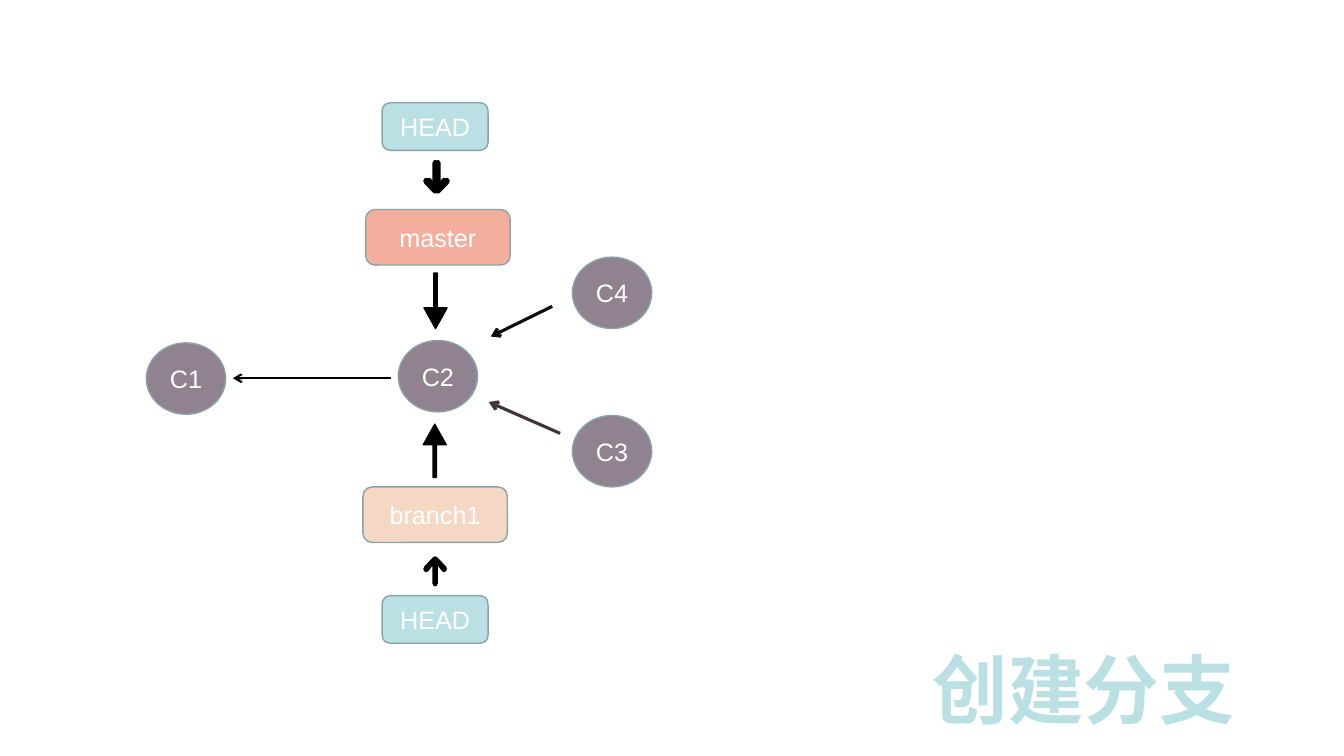
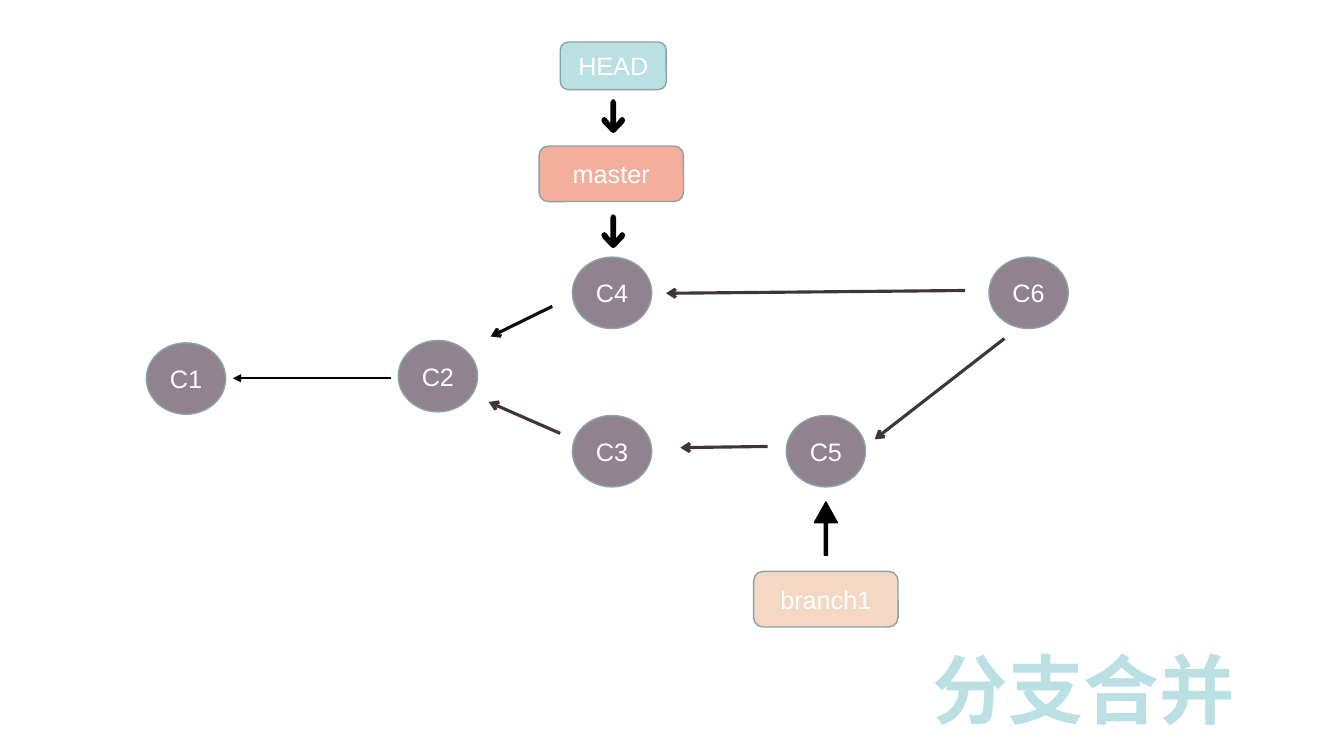
from dataclasses import dataclass

from lxml.etree import SubElement
from pptx import Presentation
from pptx.dml.color import RGBColor
from pptx.enum.shapes import MSO_CONNECTOR, MSO_SHAPE
from pptx.enum.text import MSO_ANCHOR, MSO_AUTO_SIZE, PP_ALIGN
from pptx.oxml.ns import qn
from pptx.util import Cm, Pt


@dataclass(frozen=True)
class Theme:
    font: str = "Arial"
    title_size: int = 54
    label_size: int = 18
    title: str = "BBE0E3"
    label: str = "FFFFFF"
    outline: str = "89A4A7"
    commit: str = "90828F"
    head: str = "BBE0E3"
    master: str = "F3AE9E"
    branch: str = "F5D8C3"
    black: str = "000000"
    ink: str = "0D0D0D"
    brown: str = "413438"


THEME = Theme()
TITLE_LAYOUT = 5

# Sizes and positions are in centimetres.
COMMIT_SIZE = (2, 1.8)
HEAD_SIZE = (2.67, 1.2)
BRANCH_SIZE = (3.64, 1.4)
COMMITS = {
    "C1": (4.69, 9.54),
    "C2": (11.04, 9.48),
    "C3": (15.43, 11.37),
    "C4": (15.43, 7.38),
    "C5": (20.82, 11.37),
    "C6": (25.93, 7.38),
}

# Right half of each pointer: (offset from axis, distance from tip),
# then its tail end: (offset from axis, distance from the end).
SHARP = ([(0, 0), (0.29, 0.52), (0.04, 0.52)], [(0.04, 0)])
ROUNDED = (
    [(0, 0), (0.05, 0.02), (0.27, 0.25), (0.3, 0.32), (0.27, 0.38),
     (0.22, 0.4), (0.17, 0.37), (0.07, 0.24)],
    [(0.07, 0.08), (0.04, 0.02), (0, 0)],
)
DOWN, UP = 1, -1


def color(value):
    return RGBColor.from_string(value)


def style_text(paragraph, size, text_color, bold=False):
    paragraph.alignment = PP_ALIGN.CENTER
    font = paragraph.font
    font.name = THEME.font
    font.size = Pt(size)
    font.bold = bold
    font.color.rgb = color(text_color)


def add_titled_slide(presentation, text):
    slide = presentation.slides.add_slide(presentation.slide_layouts[TITLE_LAYOUT])
    title = slide.shapes.title
    title.left, title.top = Cm(20.85), Cm(16.08)
    title.width, title.height = Cm(12.95), Cm(2.54)
    frame = title.text_frame
    frame.text = text
    frame.auto_size = MSO_AUTO_SIZE.NONE
    frame.vertical_anchor = MSO_ANCHOR.TOP
    style_text(frame.paragraphs[0], THEME.title_size, THEME.title, bold=True)
    return slide


def add_node(slide, kind, text, center, size, fill):
    (x, y), (width, height) = center, size
    shape = slide.shapes.add_shape(
        kind, Cm(x - width / 2), Cm(y - height / 2), Cm(width), Cm(height))
    shape.shadow.inherit = False
    shape.fill.solid()
    shape.fill.fore_color.rgb = color(fill)
    shape.line.color.rgb = color(THEME.outline)
    shape.line.width = Pt(1)
    frame = shape.text_frame
    frame.text = text
    frame.vertical_anchor = MSO_ANCHOR.MIDDLE
    style_text(frame.paragraphs[0], THEME.label_size, THEME.label)


def add_commit(slide, name):
    add_node(slide, MSO_SHAPE.OVAL, name, COMMITS[name], COMMIT_SIZE, THEME.commit)


def add_head(slide, center):
    add_node(slide, MSO_SHAPE.ROUNDED_RECTANGLE, "HEAD", center, HEAD_SIZE, THEME.head)


def add_branch(slide, name, center, fill):
    add_node(slide, MSO_SHAPE.ROUNDED_RECTANGLE, name, center, BRANCH_SIZE, fill)


def add_parent_link(slide, start, end, line_color=THEME.brown, width=2.25, tip="arrow"):
    connector = slide.shapes.add_connector(
        MSO_CONNECTOR.STRAIGHT, *(Cm(value) for value in (*start, *end)))
    connector.line.color.rgb = color(line_color)
    connector.line.width = Pt(width)
    SubElement(connector.line._get_or_add_ln(), qn("a:tailEnd"), type=tip)
    SubElement(connector._element.spPr, qn("a:effectLst"))


def add_pointer(slide, tip, direction, outline, length):
    """Draw a vertical black arrow, symmetric about its axis, ending at tip."""
    x, y = tip
    front, tail = outline
    half = front + [(offset, length - inset) for offset, inset in tail]
    mirrored = [(-offset, distance) for offset, distance in reversed(half)]
    points = [(Cm(x + offset), Cm(y - direction * distance))
              for offset, distance in half + mirrored]
    builder = slide.shapes.build_freeform(*points[0])
    builder.add_line_segments(points[1:], close=True)
    shape = builder.convert_to_shape()
    shape.shadow.inherit = False
    shape.fill.solid()
    shape.fill.fore_color.rgb = color(THEME.black)
    if outline is SHARP:
        shape.line.color.rgb = color(THEME.black)
        shape.line.width = Pt(1)
    else:
        shape.line.fill.background()


def add_shared_history(slide, first_tip):
    """Draw commits C1 to C4 and the links between them."""
    for name in ("C1", "C2", "C3", "C4"):
        add_commit(slide, name)
    add_parent_link(slide, (9.86, 9.53), (5.87, 9.53), THEME.black, 1.5, first_tip)
    add_parent_link(slide, (13.92, 7.72), (12.37, 8.48), THEME.ink)
    add_parent_link(slide, (14.12, 10.92), (12.32, 10.13))


def build_create_branch(presentation):
    slide = add_titled_slide(presentation, "创建分支")
    add_shared_history(slide, "arrow")
    add_head(slide, (10.97, 3.19))
    for x in (10.97, 11.04):
        add_pointer(slide, (x, 4.88), DOWN, ROUNDED, 0.85)
    add_branch(slide, "master", (11.04, 5.98), THEME.master)
    add_pointer(slide, (10.98, 8.28), DOWN, SHARP, 1.4)
    add_pointer(slide, (10.96, 10.69), UP, SHARP, 1.34)
    add_branch(slide, "branch1", (10.97, 12.97), THEME.branch)
    add_pointer(slide, (10.97, 14.02), UP, ROUNDED, 0.76)
    add_head(slide, (10.97, 15.61))


def build_merge_branch(presentation):
    slide = add_titled_slide(presentation, "分支合并")
    add_shared_history(slide, "triangle")
    for name in ("C5", "C6"):
        add_commit(slide, name)
    add_parent_link(slide, (19.35, 11.25), (17.15, 11.28))
    add_parent_link(slide, (24.33, 7.32), (16.79, 7.39))
    add_parent_link(slide, (25.32, 8.53), (22.05, 11.07))
    add_head(slide, (15.46, 1.66))
    add_branch(slide, "master", (15.41, 4.38), THEME.master)
    for tip_y in (3.35, 6.25):
        add_pointer(slide, (15.46, tip_y), DOWN, ROUNDED, 0.85)
    add_pointer(slide, (20.82, 12.65), UP, SHARP, 1.34)
    add_branch(slide, "branch1", (20.82, 15.1), THEME.branch)


def main():
    presentation = Presentation()
    presentation.slide_width = Cm(33.88)
    presentation.slide_height = Cm(19.05)
    build_create_branch(presentation)
    build_merge_branch(presentation)
    presentation.save("out.pptx")


if __name__ == "__main__":
    main()
